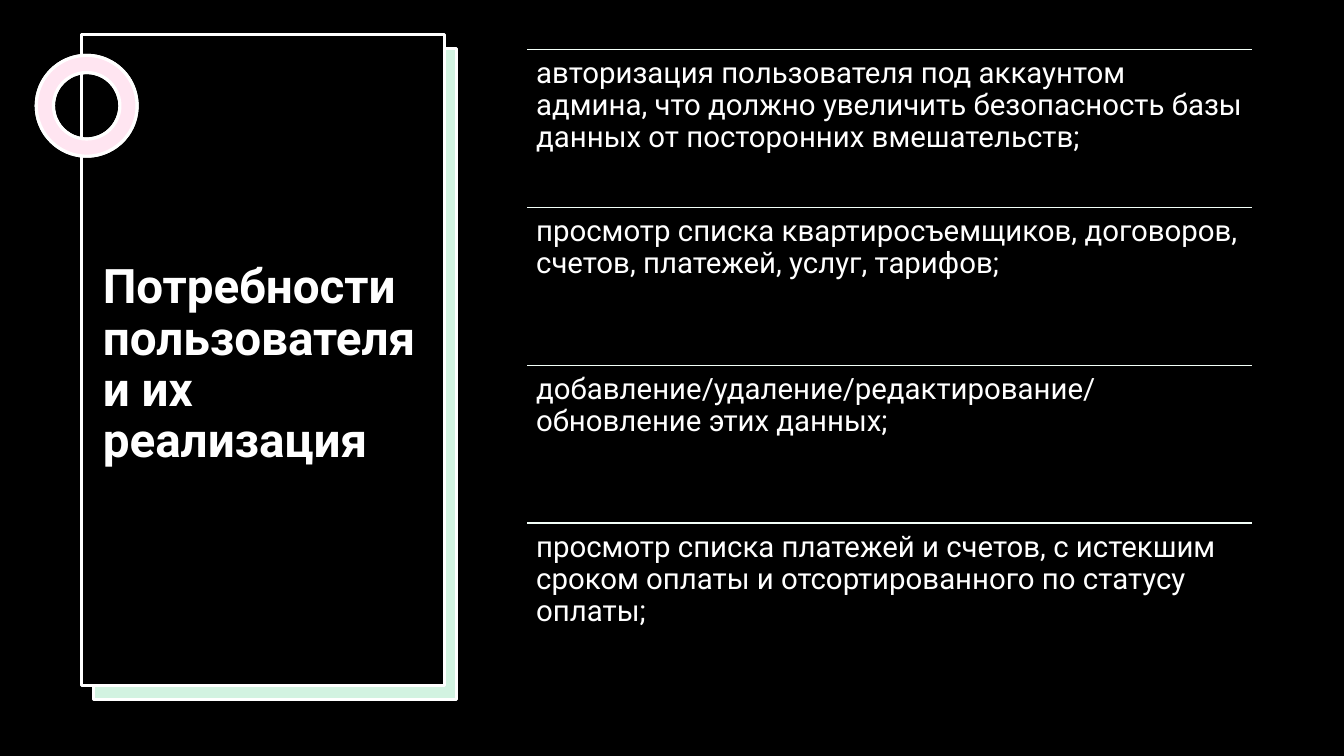
from lxml import etree
from pptx import Presentation
from pptx.dml.color import RGBColor
from pptx.enum.shapes import MSO_CONNECTOR, MSO_SHAPE
from pptx.enum.text import MSO_ANCHOR, MSO_AUTO_SIZE, PP_ALIGN
from pptx.oxml.ns import qn
from pptx.util import Inches, Pt

RECTANGLE, DONUT = MSO_SHAPE.RECTANGLE, MSO_SHAPE.DONUT
STRAIGHT = MSO_CONNECTOR.STRAIGHT
TOP, MIDDLE = MSO_ANCHOR.TOP, MSO_ANCHOR.MIDDLE
LEFT, FIXED_SIZE = PP_ALIGN.LEFT, MSO_AUTO_SIZE.NONE

BLACK = RGBColor(0x00, 0x00, 0x00)
WHITE = RGBColor(0xFF, 0xFF, 0xFF)
GREEN = RGBColor(0x21, 0xC4, 0x6B)
PINK = RGBColor(0xFF, 0x80, 0xBD)
RULE = RGBColor(0xF3, 0xFF, 0xF8)

TITLE = "Потребности пользователя и их реализация"
NEEDS = [
    "авторизация пользователя под аккаунтом админа, что должно увеличить "
    "безопасность базы данных от посторонних вмешательств;",
    "просмотр списка квартиросъемщиков, договоров, счетов, платежей, услуг, тарифов;",
    "добавление/удаление/редактирование/обновление этих данных;",
    "просмотр списка платежей и счетов, с истекшим сроком оплаты и "
    "отсортированного по статусу оплаты;",
]
PANEL_SIZE = (27, 86.13)
RING = (2.7, 7.33, 7.5, 13.33)
NEEDS_LEFT, NEEDS_TOP, NEEDS_WIDTH, NEED_HEIGHT = 39.22, 6.53, 53.93, 20.89


def write(frame, text, size, bold=False, anchor=TOP, inset=0.1):
    frame.word_wrap = True
    frame.auto_size = FIXED_SIZE
    frame.vertical_anchor = anchor
    frame.margin_left = frame.margin_right = Inches(inset)
    frame.margin_top = frame.margin_bottom = Inches(inset)
    paragraph = frame.paragraphs[0]
    paragraph.alignment = LEFT
    paragraph.line_spacing = 0.9
    run = paragraph.add_run()
    run.text = text
    run.font.name = "Roboto"
    run.font.size = Pt(size)
    run.font.bold = bold
    run.font.color.rgb = WHITE


class Deck:
    """Draws styled elements on a grid of 100 columns by 100 rows."""

    def __init__(self):
        self.presentation = Presentation()
        self.presentation.slide_width = Inches(13.33)
        self.presentation.slide_height = Inches(7.5)
        self.slide = None

    def add_slide(self, background):
        layout = self.presentation.slide_layouts[5]
        self.slide = self.presentation.slides.add_slide(layout)
        self.slide.background.fill.solid()
        self.slide.background.fill.fore_color.rgb = background

    def x(self, columns):
        return round(self.presentation.slide_width * columns / 100)

    def y(self, rows):
        return round(self.presentation.slide_height * rows / 100)

    def box(self, left, top, width, height):
        return self.x(left), self.y(top), self.x(width), self.y(height)

    def title(self, text, area):
        heading = self.slide.shapes.title
        heading.left, heading.top, heading.width, heading.height = self.box(*area)
        write(heading.text_frame, text, 34, bold=True, anchor=MIDDLE)

    def figure(self, kind, area, color, opacity=100, outlined=True):
        figure = self.slide.shapes.add_shape(kind, *self.box(*area))
        figure.shadow.inherit = False
        figure.fill.solid()
        figure.fill.fore_color.rgb = color
        if opacity < 100:
            tint = figure._element.spPr.find(qn("a:solidFill")).find(qn("a:srgbClr"))
            etree.SubElement(tint, qn("a:alpha"), val=str(opacity * 1000))
        if outlined:
            figure.line.color.rgb = WHITE
            figure.line.width = Pt(2.25)
        else:
            figure.line.fill.background()
        return figure

    def ring(self, area, color, opacity=100):
        self.figure(DONUT, area, color, opacity).adjustments[0] = 0.17

    def rule(self, left, top, width):
        start, end, level = self.x(left), self.x(left + width), self.y(top)
        rule = self.slide.shapes.add_connector(STRAIGHT, start, level, end, level)
        rule.line.color.rgb = RULE
        rule.line.width = Pt(1)
        etree.SubElement(rule._element.spPr, qn("a:effectLst"))

    def text(self, text, area):
        note = self.slide.shapes.add_textbox(*self.box(*area))
        write(note.text_frame, text, 21, inset=0.09)

    def save(self):
        self.presentation.save("out.pptx")


def main():
    deck = Deck()
    deck.add_slide(BLACK)
    deck.figure(RECTANGLE, (6.9, 6.53, *PANEL_SIZE), WHITE, outlined=False)
    deck.figure(RECTANGLE, (6.98, 6.4, *PANEL_SIZE), GREEN, opacity=20)
    deck.figure(RECTANGLE, (6.08, 4.53, *PANEL_SIZE), BLACK)
    deck.ring(RING, WHITE)
    deck.ring(RING, PINK, opacity=20)
    deck.title(TITLE, (6.9, 17.47, 25.5, 61.73))
    heading = deck.slide.shapes.title._element
    heading.getparent().append(heading)
    for index, need in enumerate(NEEDS):
        top = NEEDS_TOP + index * NEED_HEIGHT
        deck.rule(NEEDS_LEFT, top, NEEDS_WIDTH)
        deck.text(need, (NEEDS_LEFT, top, NEEDS_WIDTH, NEED_HEIGHT))
    deck.save()


if __name__ == "__main__":
    main()
